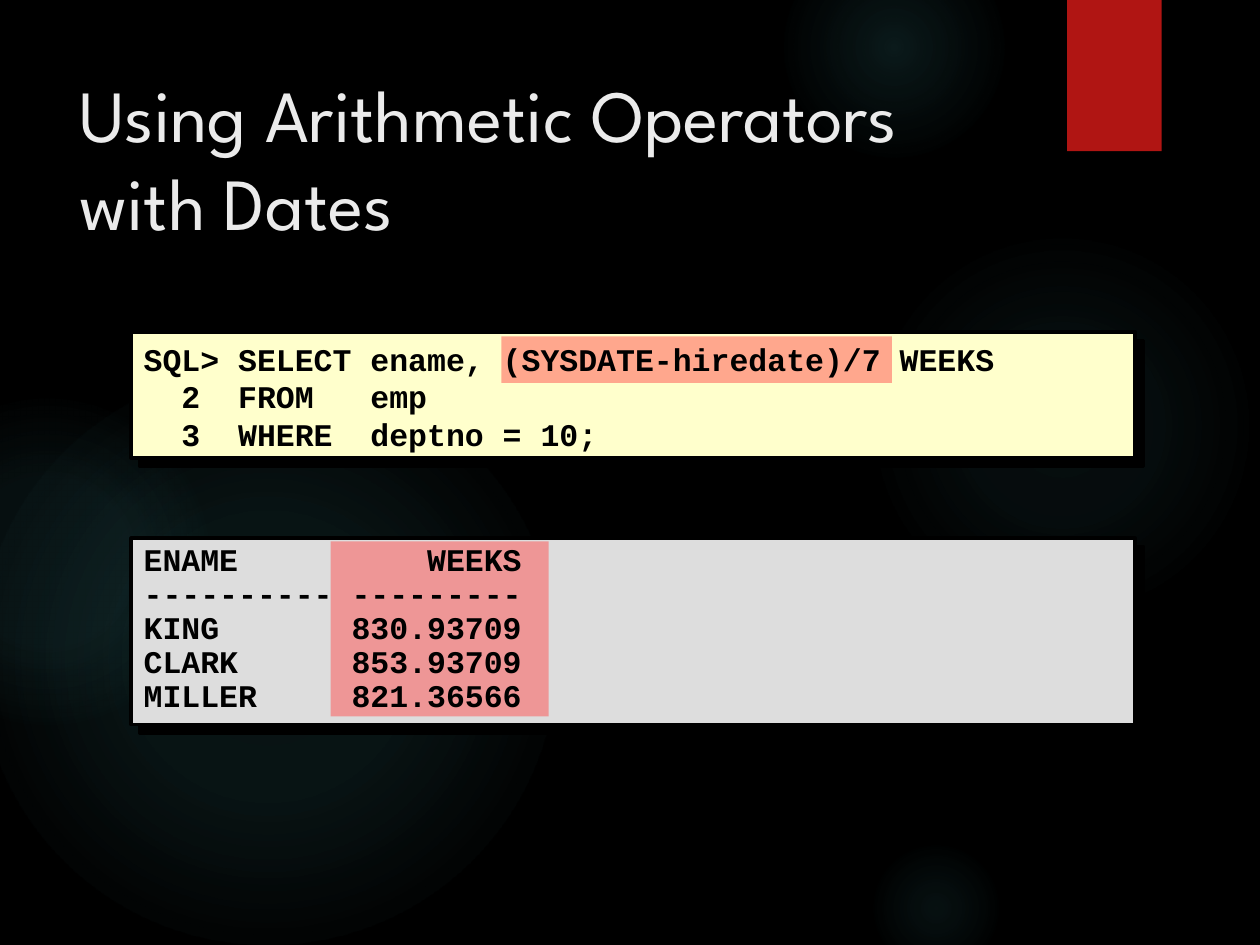
"""Build the slide on using arithmetic operators with dates in SQL."""
from lxml.etree import SubElement
from pptx import Presentation
from pptx.dml.color import RGBColor
from pptx.enum.shapes import MSO_SHAPE as Shape
from pptx.enum.text import MSO_ANCHOR as Anchor
from pptx.oxml import parse_xml
from pptx.oxml.ns import nsdecls, qn
from pptx.util import Pt

BLACK = RGBColor(0x00, 0x00, 0x00)
TITLE_WHITE = RGBColor(0xEB, 0xEB, 0xEB)
RED = RGBColor(0xB0, 0x15, 0x13)
CREAM = RGBColor(0xFF, 0xFF, 0xCC)
GREY = RGBColor(0xDD, 0xDD, 0xDD)
HIGHLIGHT = RGBColor(0xFF, 0x50, 0x50)
TEAL = RGBColor(0x50, 0xB9, 0xC1)

TITLE = "Using Arithmetic Operators\vwith Dates"
QUERY = [
    "SQL> SELECT ename, (SYSDATE-hiredate)/7 WEEKS",
    "  2  FROM   emp",
    "  3  WHERE  deptno = 10;",
]
RESULT = [
    "ENAME          WEEKS",
    "---------- ---------",
    "KING       830.93709",
    "CLARK      853.93709",
    "MILLER     821.36566",
]
GLOWS = [
    (496, 132, 222, [(0, 7), (36, 6), (69, 0)]),
    (448, -36, 126, [(0, 14), (36, 7), (73, 0)]),
    (496, 480, 78, [(0, 9), (36, 5), (66, 0)]),
    (-12, 210, 330, [(0, 11), (36, 10), (75, 0)]),
    (-66, 228, 186, [(0, 8), (36, 8), (72, 0)]),
]
BOOKMARK = (609.8, 0, 54, 86.4)
PANELS = [((75, 189.7, 573.5, 72), CREAM), ((75, 307.5, 573.5, 106.5), GREY)]
HIGHLIGHTS = [(286.5, 192.2, 223.2, 26.6), (189, 309.4, 124.5, 100)]


def add_block(shapes, kind, box, color, outline=None, opacity=None, shadow=None):
    block = shapes.add_shape(kind, *map(Pt, box))
    block.fill.solid()
    block.fill.fore_color.rgb = color
    if outline:
        block.line.color.rgb = BLACK
        block.line.width = Pt(outline)
    else:
        block.line.fill.background()
    block.shadow.inherit = False
    properties = block.element.spPr
    if opacity:
        tint = properties.find(qn("a:solidFill"))[0]
        SubElement(tint, qn("a:alpha"), val=str(opacity * 1000))
    if shadow:
        alpha, blur, distance, angle = shadow
        properties.find(qn("a:effectLst")).append(parse_xml(
            f'<a:outerShdw {nsdecls("a")} blurRad="{Pt(blur)}" dist="{Pt(distance)}" '
            f'dir="{angle * 60000}" algn="ctr" rotWithShape="0"><a:srgbClr val="{BLACK}">'
            f'<a:alpha val="{alpha * 1000}"/></a:srgbClr></a:outerShdw>'))
    return block


def add_glow(shapes, left, top, size, stops):
    glow = add_block(shapes, Shape.OVAL, (left, top, size, size), TEAL)
    stop_xml = "".join(
        f'<a:gs pos="{position * 1000}"><a:srgbClr val="{TEAL}">'
        f'<a:alpha val="{alpha * 1000}"/></a:srgbClr></a:gs>'
        for position, alpha in stops)
    properties = glow.element.spPr
    properties.replace(properties.find(qn("a:solidFill")), parse_xml(
        f'<a:gradFill {nsdecls("a")} rotWithShape="1"><a:gsLst>{stop_xml}</a:gsLst>'
        '<a:path path="circle"><a:fillToRect l="50000" t="50000" r="50000" b="50000"/>'
        '</a:path></a:gradFill>'))


def add_text(shapes, lines, box, size=18, font="Courier New", color=BLACK,
             bold=True, spacing=None, anchor=Anchor.TOP):
    frame = shapes.add_textbox(*map(Pt, box)).text_frame
    frame.word_wrap = True
    frame.vertical_anchor = anchor
    for number, line in enumerate(lines):
        paragraph = frame.add_paragraph() if number else frame.paragraphs[0]
        paragraph.text = line
        paragraph.line_spacing = spacing
        for run in paragraph.runs:
            run.font.size = Pt(size)
            run.font.name = font
            run.font.bold = bold
            run.font.color.rgb = color


def main():
    deck = Presentation()
    deck.slide_width, deck.slide_height = Pt(720), Pt(540)
    slide = deck.slides.add_slide(deck.slide_layouts[6])
    slide.background.fill.solid()
    slide.background.fill.fore_color.rgb = BLACK
    shapes = slide.shapes
    for glow in GLOWS:
        add_glow(shapes, *glow)
    add_block(shapes, Shape.RECTANGLE, BOOKMARK, RED, shadow=(45, 3, 2, 90))
    for box, color in PANELS:
        add_block(shapes, Shape.RECTANGLE, box, color, outline=2, shadow=(100, 0, 7.1, 45))
    add_text(shapes, [TITLE], (38.2, 36, 555.8, 110), size=42,
             font="League Spartan", color=TITLE_WHITE, bold=False)
    for box in HIGHLIGHTS:
        add_block(shapes, Shape.RECTANGLE, box, HIGHLIGHT, opacity=50)
    add_text(shapes, QUERY, (75, 170, 576, 113), anchor=Anchor.MIDDLE)
    add_text(shapes, RESULT, (75, 307.5, 573.5, 104.5), spacing=0.9)
    deck.save("out.pptx")


if __name__ == "__main__":
    main()
